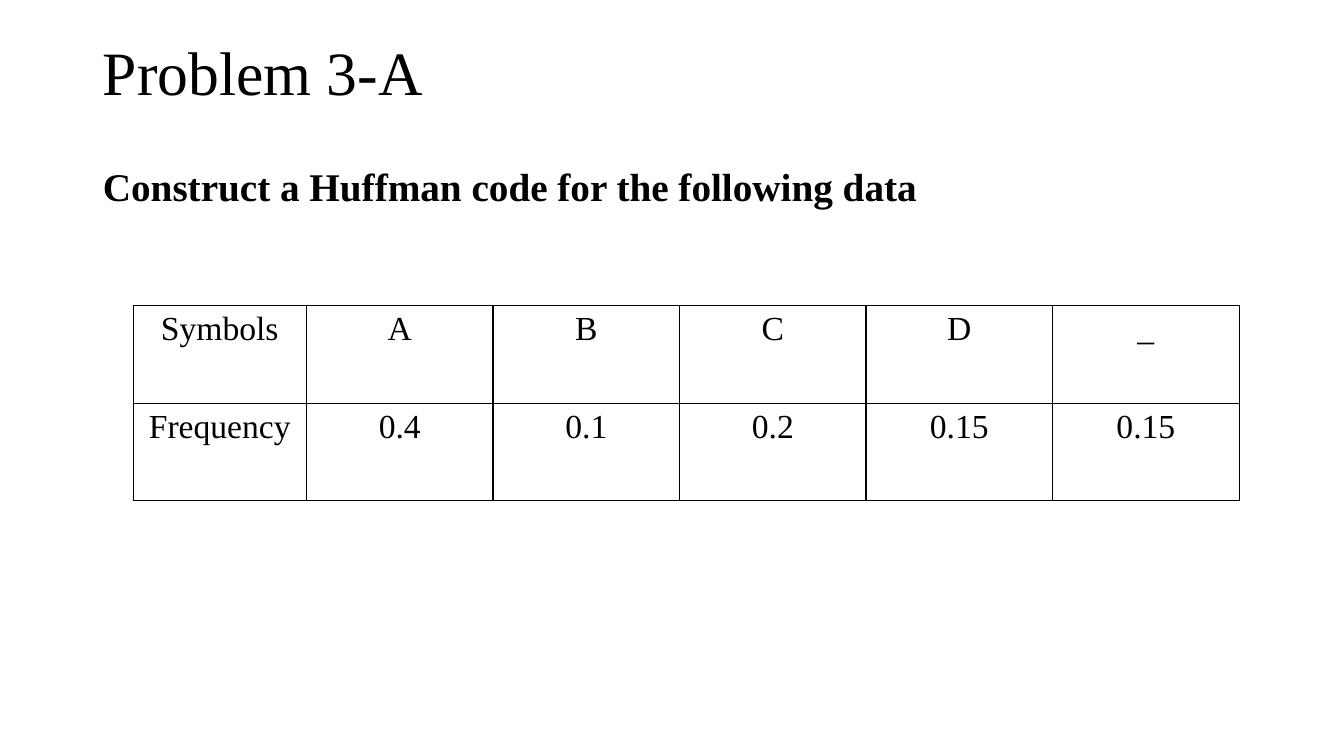
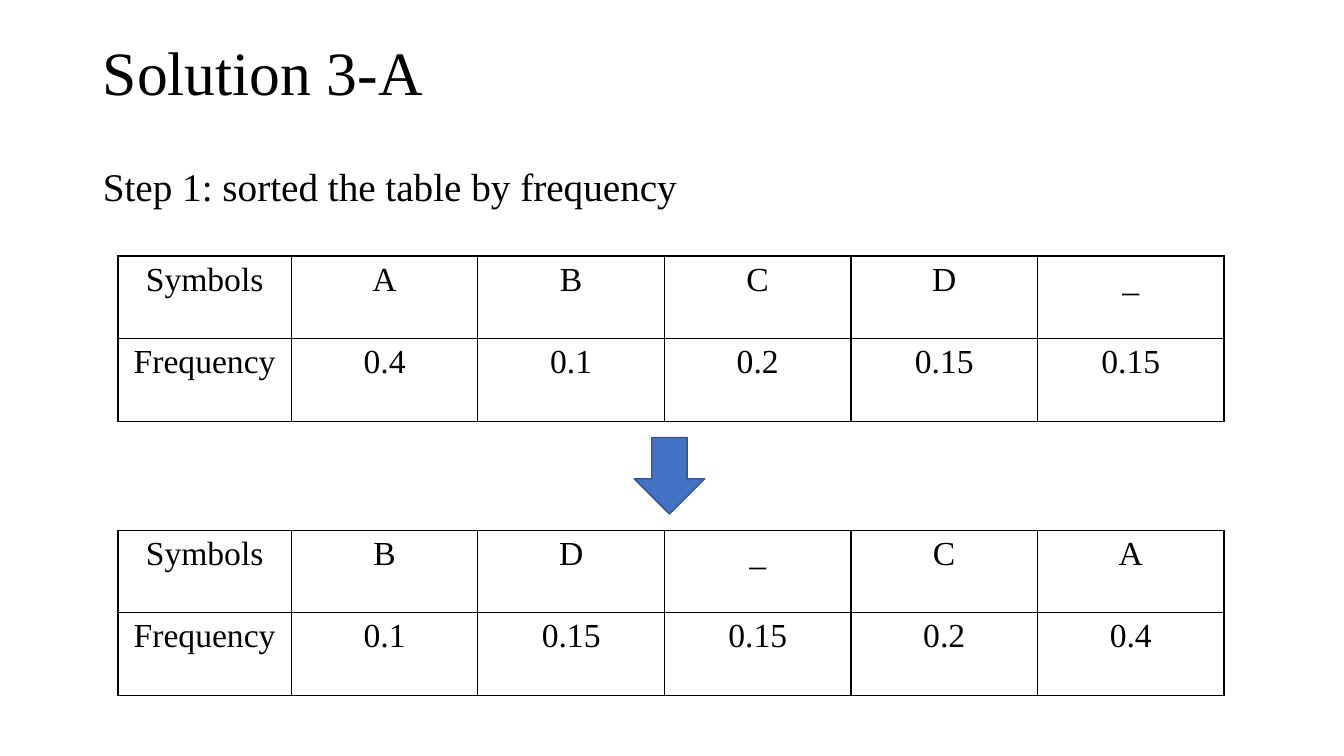
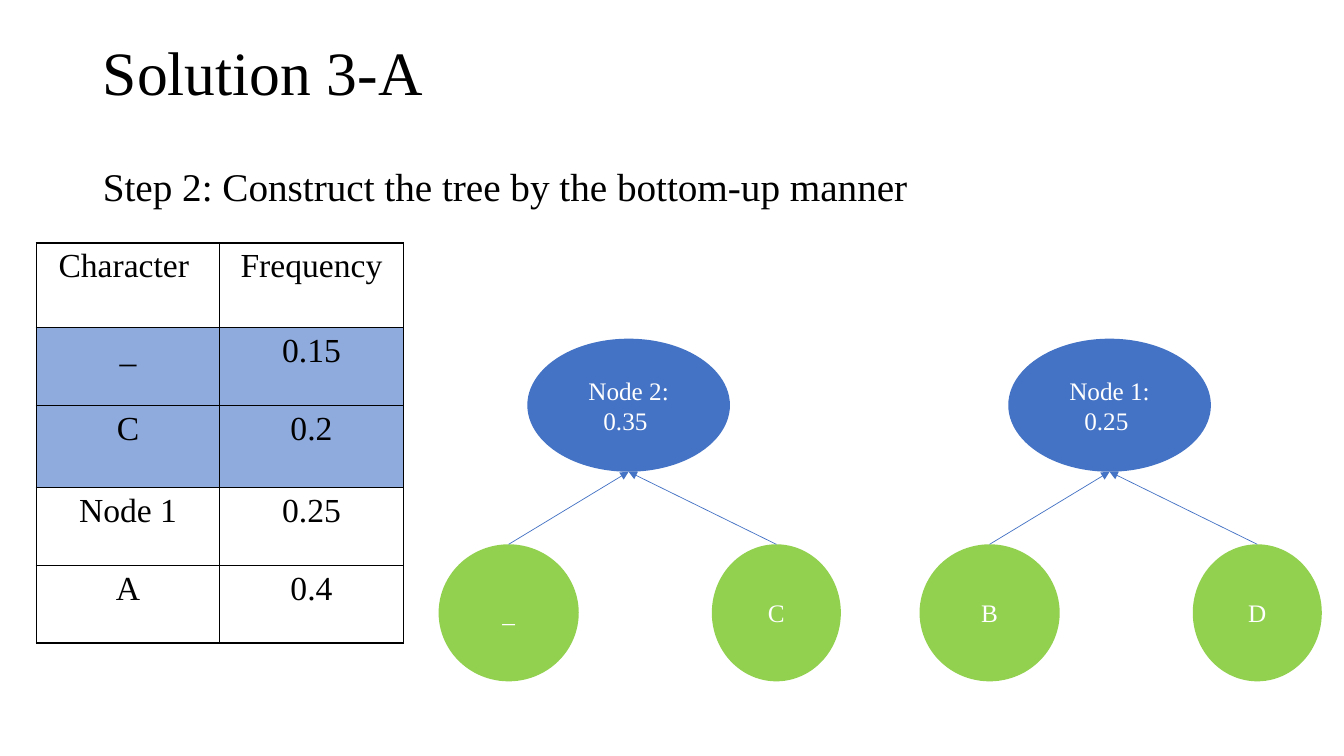
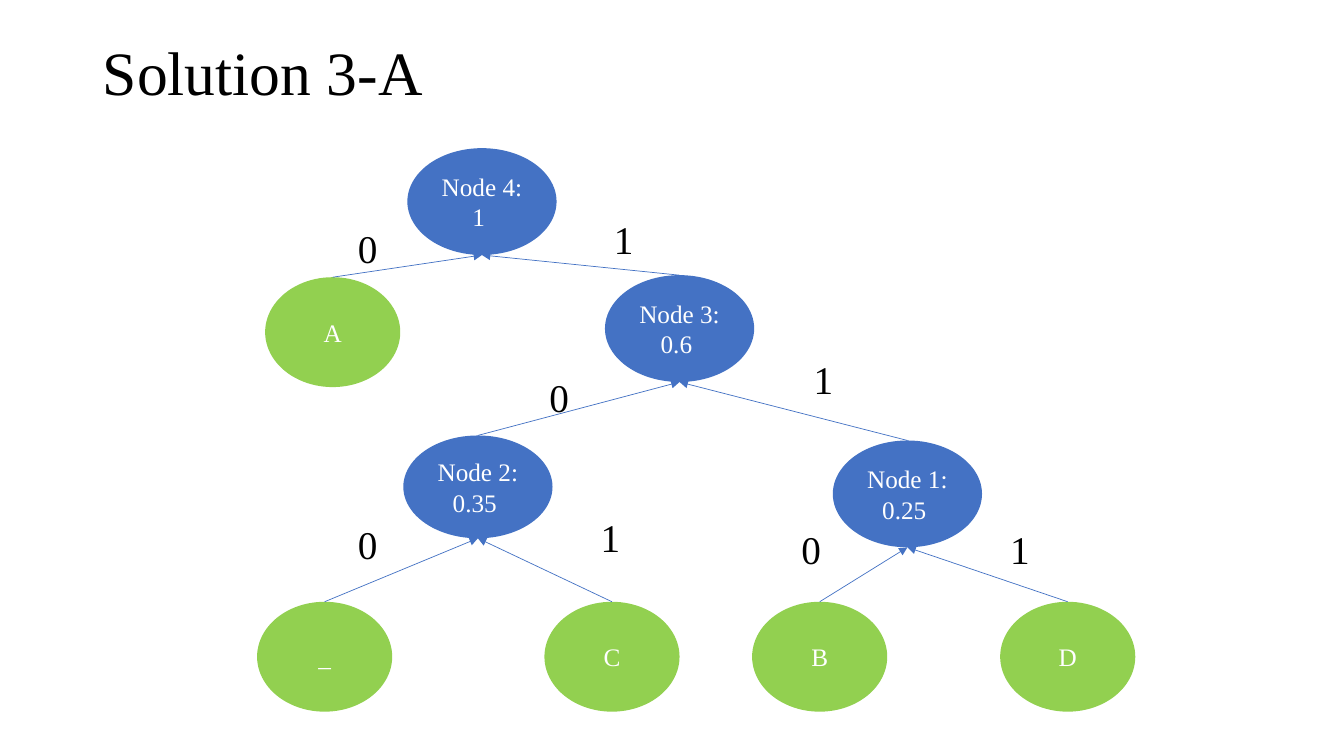
from lxml import etree
from pptx import Presentation
from pptx import util as u
from pptx.dml.color import RGBColor
from pptx.enum import shapes, text
from pptx.oxml.ns import qn

FONT = "Times New Roman"
COLORS = {
    "ink": "000000",
    "paper": "FFFFFF",
    "node": "4472C4",
    "arrow_edge": "325491",
    "leaf": "92D050",
    "highlight": "8FAADC",
}
TITLE_BOX = (0.92, 0.02, 11.5, 1.45)
BODY_BOX = (0.92, 1.61, 11.5, 5.14)
SYMBOL_COLUMNS = [1.72] + [1.85] * 5
LEAF_SIZE = (1.34, 1.09)
NODE_SIZE = (1.48, 1.06)
BIT_SIZE = (0.68, 0.57)

UNSORTED = [
    ["Symbols", "A", "B", "C", "D", "_"],
    ["Frequency", "0.4", "0.1", "0.2", "0.15", "0.15"],
]
SORTED = [
    ["Symbols", "B", "D", "_", "C", "A"],
    ["Frequency", "0.1", "0.15", "0.15", "0.2", "0.4"],
]
QUEUE = [
    ["Character ", "Frequency"],
    ["_", "0.15"],
    ["C", "0.2"],
    ["Node 1", "0.25"],
    ["A", "0.4"],
]
FULL_TREE_NODES = {
    "N4": ("Node 4: \n1 ", "node", 1.49, 0, *NODE_SIZE),
    "N3": ("Node 3: \n0.6 ", "node", 3.45, 1.26, *NODE_SIZE),
    "N2": ("Node 2: 0.35 ", "node", 1.45, 2.85, 1.48, 1.02),
    "N1": ("Node 1: 0.25 ", "node", 5.71, 2.9, *NODE_SIZE),
    "A": ("A", "leaf", 0.08, 1.28, *LEAF_SIZE),
    "_": ("_", "leaf", 0, 4.5, *LEAF_SIZE),
    "C": ("C", "leaf", 2.85, 4.5, *LEAF_SIZE),
    "B": ("B", "leaf", 4.91, 4.5, *LEAF_SIZE),
    "D": ("D", "leaf", 7.37, 4.5, *LEAF_SIZE),
}
FULL_TREE_EDGES = [
    ("A", "N4", "0", 0.9, 0.71),
    ("N3", "N4", "1", 3.44, 0.62),
    ("N2", "N3", "0", 2.8, 2.18),
    ("N1", "N3", "1", 5.42, 2.01),
    ("_", "N2", "0", 0.9, 3.64),
    ("C", "N2", "1", 3.31, 3.57),
    ("B", "N1", "0", 5.3, 3.69),
    ("D", "N1", "1", 7.37, 3.69),
]


def rgb(name):
    return RGBColor.from_string(COLORS[name])


def inches(*lengths):
    return [u.Inches(length) for length in lengths]


def write(frame, content, size, color="ink", bold=False, align=text.PP_ALIGN.LEFT):
    for index, line in enumerate(content.split("\n")):
        paragraph = frame.add_paragraph() if index else frame.paragraphs[0]
        paragraph.alignment = align
        run = paragraph.add_run()
        run.text = line
        run.font.name = FONT
        run.font.size = u.Pt(size)
        run.font.bold = bold
        run.font.color.rgb = rgb(color)


def fill_placeholder(shape, box, content, size, anchor, bold=False):
    shape.left, shape.top, shape.width, shape.height = inches(*box)
    frame = shape.text_frame
    frame.word_wrap = True
    frame.auto_size = text.MSO_AUTO_SIZE.NONE
    frame.vertical_anchor = anchor
    write(frame, content, size, bold=bold)
    frame.paragraphs[0].line_spacing = 0.9


def add_slide(presentation, title, body=None, bold=False):
    layout = presentation.slide_layouts[1 if body else 5]
    slide = presentation.slides.add_slide(layout)
    fill_placeholder(slide.shapes.title, TITLE_BOX, title, 44, text.MSO_ANCHOR.MIDDLE)
    if body:
        shape = slide.placeholders[1]
        fill_placeholder(shape, BODY_BOX, body, 28, text.MSO_ANCHOR.TOP, bold)
        paragraph = shape.text_frame.paragraphs[0]
        paragraph.space_before = u.Pt(10)
        properties = paragraph._p.get_or_add_pPr()
        properties.set("marL", "0")
        properties.set("indent", "0")
        etree.SubElement(properties, qn("a:buNone"))
    return slide


def add_borders(cell):
    properties = cell._tc.get_or_add_tcPr()
    for side in ("lnL", "lnR", "lnT", "lnB"):
        line = etree.SubElement(properties, qn(f"a:{side}"), w=str(u.Pt(1)))
        solid = etree.SubElement(line, qn("a:solidFill"))
        etree.SubElement(solid, qn("a:srgbClr"), val=COLORS["ink"])


def add_grid(slide, left, top, columns, heights, rows, highlighted=()):
    box = inches(left, top, sum(columns), sum(heights))
    table = slide.shapes.add_table(len(rows), len(columns), *box).table
    table.first_row = False
    table.horz_banding = False
    for column, width in zip(table.columns, columns):
        column.width = u.Inches(width)
    for index, (row, height, values) in enumerate(zip(table.rows, heights, rows)):
        row.height = u.Inches(height)
        for cell, value in zip(row.cells, values):
            add_borders(cell)
            if index in highlighted:
                cell.fill.solid()
                cell.fill.fore_color.rgb = rgb("highlight")
            else:
                cell.fill.background()
            write(cell.text_frame, value, 24, align=text.PP_ALIGN.CENTER)


def add_filled_shape(slide, kind, box, color):
    shape = slide.shapes.add_shape(kind, *inches(*box))
    shape.shadow.inherit = False
    shape.fill.solid()
    shape.fill.fore_color.rgb = rgb(color)
    shape.line.fill.background()
    return shape


def add_down_arrow(slide, box):
    arrow = add_filled_shape(slide, shapes.MSO_SHAPE.DOWN_ARROW, box, "node")
    arrow.line.color.rgb = rgb("arrow_edge")
    arrow.line.width = u.Pt(1)


def add_node(slide, label, color, box):
    node = add_filled_shape(slide, shapes.MSO_SHAPE.OVAL, box, color)
    frame = node.text_frame
    frame.word_wrap = True
    frame.vertical_anchor = text.MSO_ANCHOR.MIDDLE
    write(frame, label, 18, "paper", align=text.PP_ALIGN.CENTER)
    return node


def add_edge(slide, child, parent):
    edge = slide.shapes.add_connector(
        shapes.MSO_CONNECTOR.STRAIGHT,
        child.left + child.width // 2,
        child.top,
        parent.left + parent.width // 2,
        parent.top + parent.height,
    )
    edge.line.color.rgb = rgb("node")
    edge.line.width = u.Pt(0.5)
    etree.SubElement(edge.line._get_or_add_ln(), qn("a:tailEnd"), type="triangle")
    etree.SubElement(edge._element.spPr, qn("a:effectLst"))


def add_bit(slide, bit, left, top):
    frame = slide.shapes.add_textbox(*inches(left, top, *BIT_SIZE)).text_frame
    frame.word_wrap = True
    write(frame, bit, 28)


def add_tree(slide, left, top, nodes, edges):
    drawn = {
        name: add_node(slide, label, color, (left + x, top + y, width, height))
        for name, (label, color, x, y, width, height) in nodes.items()
    }
    for child, parent, *_ in edges:
        add_edge(slide, drawn[child], drawn[parent])
    for _, _, *bit in edges:
        if bit:
            digit, x, y = bit
            add_bit(slide, digit, left + x, top + y)


def add_pair(slide, left, top, parent, first, second):
    nodes = {
        "parent": (parent, "node", 0.88, 0, 2.01, 1.32),
        "first": (first, "leaf", 0, 2.04, 1.39, 1.36),
        "second": (second, "leaf", 2.71, 2.04, 1.28, 1.36),
    }
    add_tree(slide, left, top, nodes, [("first", "parent"), ("second", "parent")])


def build_problem(presentation):
    question = "Construct a Huffman code for the following data"
    slide = add_slide(presentation, "Problem 3-A", question, bold=True)
    add_grid(slide, 1.32, 3.03, SYMBOL_COLUMNS, [0.97] * 2, UNSORTED)


def build_sorting(presentation):
    step = "Step 1: sorted the table by frequency"
    slide = add_slide(presentation, "Solution 3-A", step)
    for top, rows in ((2.54, UNSORTED), (5.26, SORTED)):
        add_grid(slide, 1.17, top, SYMBOL_COLUMNS, [0.82] * 2, rows)
    add_down_arrow(slide, (6.29, 4.34, 0.7, 0.76))


def build_merging(presentation):
    step = "Step 2: Construct the tree by the bottom-up manner"
    slide = add_slide(presentation, "Solution 3-A", step)
    heights = [0.84, 0.77, 0.82, 0.77, 0.77]
    add_grid(slide, 0.36, 2.41, [1.82] * 2, heights, QUEUE, highlighted=(1, 2))
    add_pair(slide, 9.12, 3.36, "Node 1: 0.25 ", "B", "D")
    add_pair(slide, 4.35, 3.36, "Node 2: 0.35 ", "_", "C")


def build_full_tree(presentation):
    slide = add_slide(presentation, "Solution 3-A")
    add_tree(slide, 2.55, 1.47, FULL_TREE_NODES, FULL_TREE_EDGES)


def main():
    presentation = Presentation()
    presentation.slide_width, presentation.slide_height = inches(13.33, 7.5)
    for build in (build_problem, build_sorting, build_merging, build_full_tree):
        build(presentation)
    presentation.save("out.pptx")


if __name__ == "__main__":
    main()
